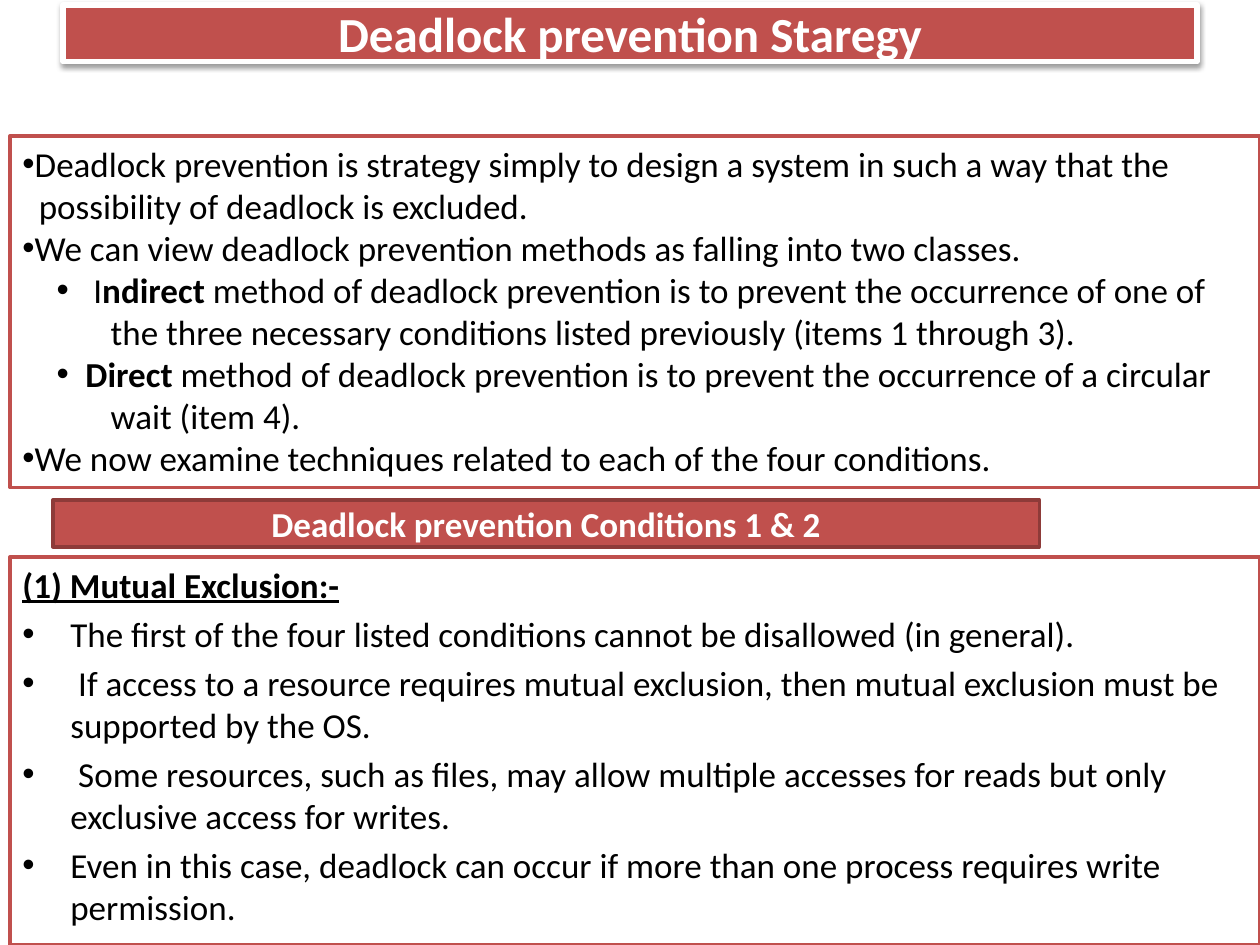
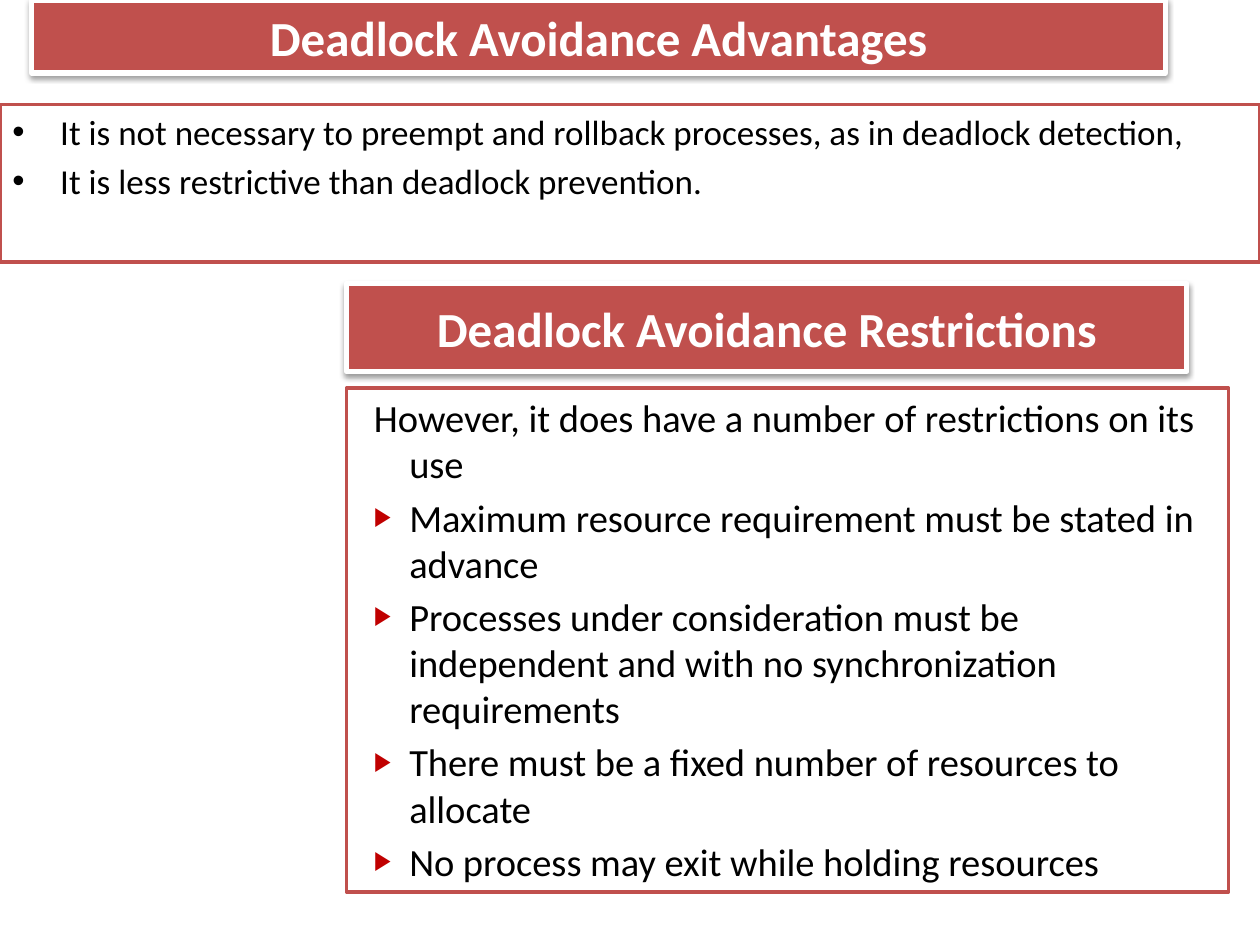
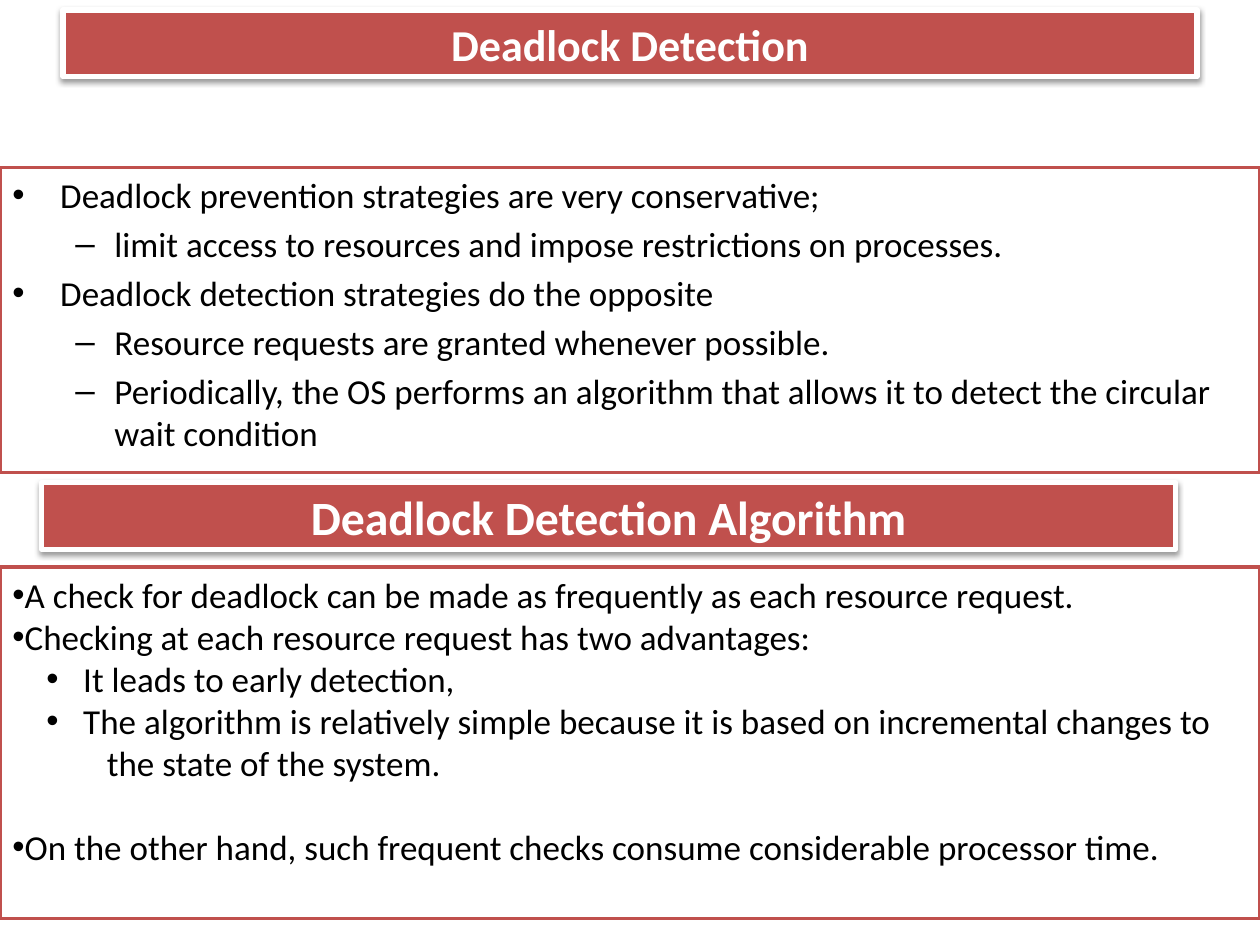
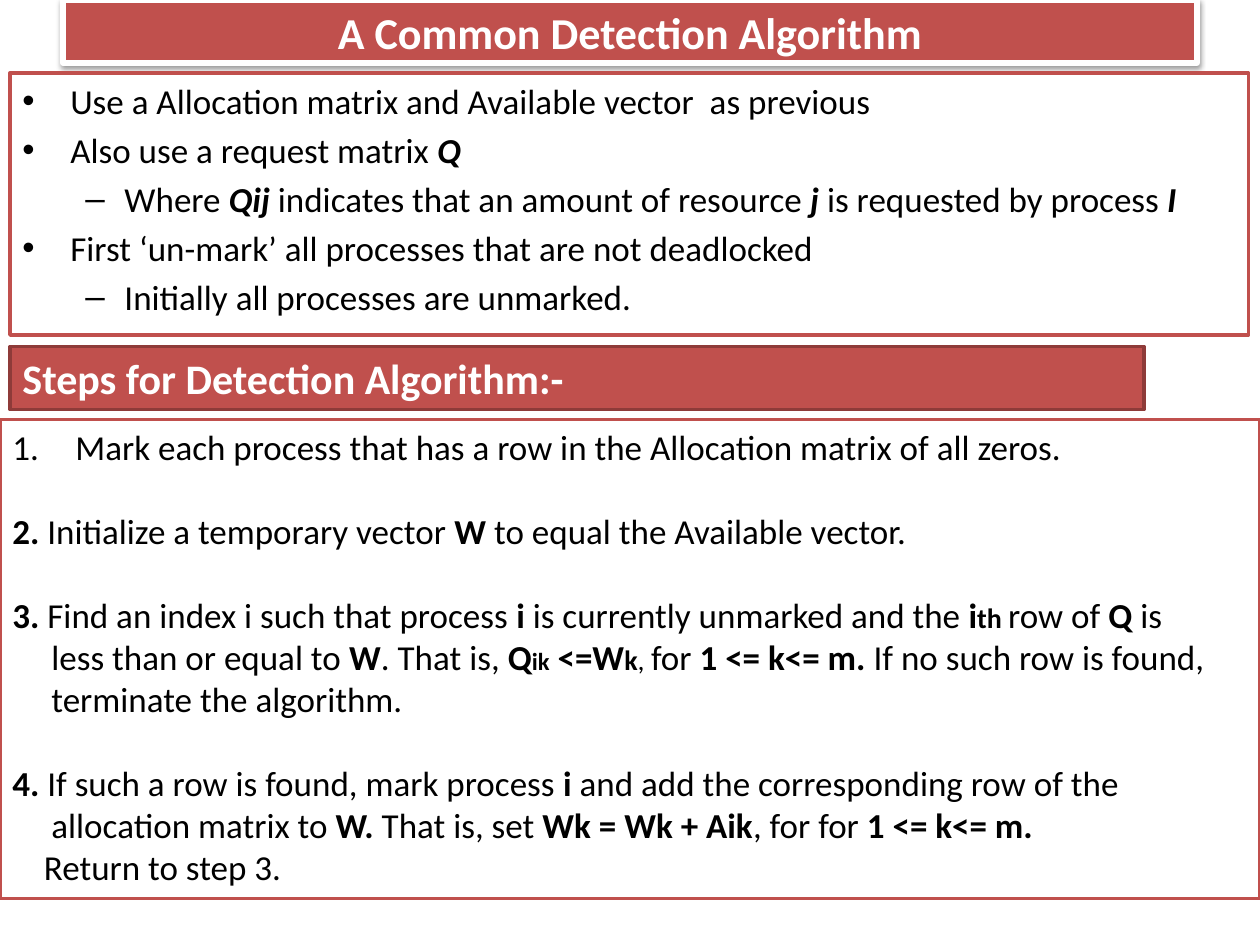
from dataclasses import dataclass, replace

from lxml import etree
from pptx import Presentation
from pptx import util as u
from pptx.dml.color import RGBColor
from pptx.enum import shapes, text
from pptx.oxml.ns import qn

FONT = "Calibri"
RED, DARK_RED, ARROW_RED = "C0504D", "8E3B39", "C00000"
WHITE, BLACK = "FFFFFF", "000000"
BODY_SIZE = 20
LINE_GAP = 24  # points left free by one line of body text


@dataclass(frozen=True)
class Style:
    """Paragraph style: lengths in inches, space before in points."""
    margin: float = 0
    indent: float = 0
    bullet: str = ""
    before: float = 0
    bullet_color: str = ""
    bullet_percent: int = 0


TIGHT = Style(bullet="•")
TIGHT_MORE = Style(margin=0.13)
TIGHT_GAP = replace(TIGHT, before=LINE_GAP)
TIGHT_SUB = Style(0.5, -0.23, "•")
TIGHT_SUB_MORE = Style(margin=0.7)
HEAD = Style(0.38, -0.38, before=4)
POINT = replace(HEAD, bullet="•")
DASH = Style(0.81, -0.31, "–", 4)
INTRO = Style(0.4, -0.28, before=4)
ARROW = replace(INTRO, bullet="▶", bullet_color=ARROW_RED, bullet_percent=68)
NUMBER = Style(0.5, -0.5, "1.")
STEP = Style(before=LINE_GAP)
STEP_MORE = Style(margin=0.31)
STEP_END = Style(margin=0.25)


def color(value):
    return RGBColor.from_string(value)


def paint(shape, fill, line, width):
    shape.fill.solid()
    shape.fill.fore_color.rgb = color(fill)
    shape.line.color.rgb = color(line)
    shape.line.width = u.Pt(width)


def place(shape, box):
    shape.left, shape.top, shape.width, shape.height = map(u.Inches, box)


def add_box(slide, box):
    rectangle = slide.shapes.add_shape(
        shapes.MSO_SHAPE.RECTANGLE, *map(u.Inches, box))
    rectangle.shadow.inherit = False
    return rectangle


def add_soft_shadow(shape):
    shape.shadow.inherit = False
    effects = shape.element.spPr.find(qn("a:effectLst"))
    shadow = etree.SubElement(effects, qn("a:outerShdw"), blurRad="40000",
                              dist="20000", dir="5400000", rotWithShape="0")
    shade = etree.SubElement(shadow, qn("a:srgbClr"), val=BLACK)
    etree.SubElement(shade, qn("a:alpha"), val="38000")


def format_run(run, size, ink, marks=""):
    """Marks are letters: b bold, i italic, u underlined."""
    run.font.name = FONT
    run.font.size = u.Pt(size)
    run.font.color.rgb = color(ink)
    run.font.bold = "b" in marks
    run.font.italic = "i" in marks
    run.font.underline = "u" in marks


def write_heading(shape, words, size, align=text.PP_ALIGN.CENTER):
    frame = shape.text_frame
    frame.text = words
    frame.word_wrap = True
    frame.auto_size = text.MSO_AUTO_SIZE.NONE
    frame.vertical_anchor = text.MSO_ANCHOR.MIDDLE
    frame.paragraphs[0].alignment = align
    format_run(frame.paragraphs[0].runs[0], size, WHITE, "b")


def raised_band(shape, words, size):
    paint(shape, RED, WHITE, 3)
    add_soft_shadow(shape)
    write_heading(shape, words, size)


def title_band(slide, box, words, size=28):
    title = slide.shapes.title
    place(title, box)
    raised_band(title, words, size)


def section_band(slide, box, words, size=28):
    raised_band(add_box(slide, box), words, size)


def flat_band(slide, box, words, size, align=text.PP_ALIGN.CENTER):
    band = add_box(slide, box)
    paint(band, RED, DARK_RED, 2)
    write_heading(band, words, size, align)


def apply_style(paragraph, style):
    props = paragraph._p.get_or_add_pPr()
    props.set("marL", str(u.Inches(style.margin)))
    props.set("indent", str(u.Inches(style.indent)))
    if style.bullet_color:
        tint = etree.SubElement(props, qn("a:buClr"))
        etree.SubElement(tint, qn("a:srgbClr"), val=style.bullet_color)
    if style.bullet_percent:
        etree.SubElement(props, qn("a:buSzPct"),
                         val=str(style.bullet_percent * 1000))
    if style.bullet == "1.":
        etree.SubElement(props, qn("a:buAutoNum"), type="arabicPeriod")
    elif style.bullet:
        etree.SubElement(props, qn("a:buFont"), typeface="Arial")
        etree.SubElement(props, qn("a:buChar"), char=style.bullet)


def text_panel(slide, box, lines, size=BODY_SIZE):
    """Outlined panel; a line is a style and its runs, each plain text or
    a tuple of text, marks and perhaps a size."""
    panel = add_box(slide, box)
    paint(panel, WHITE, RED, 2)
    frame = panel.text_frame
    frame.word_wrap = True
    frame.vertical_anchor = text.MSO_ANCHOR.TOP
    for number, (style, *runs) in enumerate(lines):
        paragraph = frame.add_paragraph() if number else frame.paragraphs[0]
        apply_style(paragraph, style)
        paragraph.alignment = text.PP_ALIGN.LEFT
        if number:
            paragraph.space_before = u.Pt(style.before)
        for part in runs:
            words, marks, run_size = (
                (part, "", size) if isinstance(part, str)
                else (*part, size)[:3])
            run = paragraph.add_run()
            run.text = words
            format_run(run, run_size, BLACK, marks)


def prevention_slide(slide):
    title_band(slide, (0.5, 0.04, 9, 0.45), "Deadlock prevention Staregy")
    text_panel(slide, (0.08, 1.08, 9.92, 2.79), [
        (TIGHT, "Deadlock prevention is strategy simply to design a system "
                "in such a way that the"),
        (TIGHT_MORE, "possibility of deadlock is excluded."),
        (TIGHT, "We can view deadlock prevention methods as falling into "
                "two classes."),
        (TIGHT_SUB, " I", ("ndirect ", "b"),
         "method of deadlock prevention is to prevent the occurrence of "
         "one of"),
        (TIGHT_SUB_MORE, "the three necessary conditions listed previously "
                         "(items 1 through 3)."),
        (TIGHT_SUB, ("Direct ", "b"),
         "method of deadlock prevention is to prevent the occurrence of "
         "a circular"),
        (TIGHT_SUB_MORE, "wait (item 4)."),
        (TIGHT, "We now examine techniques related to each of the four "
                "conditions."),
    ])
    flat_band(slide, (0.42, 3.97, 7.83, 0.37),
              "Deadlock prevention Conditions 1 & 2", 20)
    text_panel(slide, (0.08, 4.42, 9.92, 3.08), [
        (HEAD, ("(1) Mutual Exclusion:-", "bu")),
        (POINT, "The first of the four listed conditions cannot be "
                "disallowed (in general)."),
        (POINT, " If access to a resource requires mutual exclusion, then "
                "mutual exclusion must be supported by the OS."),
        (POINT, " Some resources, such as files, may allow multiple accesses "
                "for reads but only exclusive access for writes."),
        (POINT, "Even in this case, deadlock can occur if more than one "
                "process requires write permission."),
    ])


def avoidance_slide(slide):
    title_band(slide, (0.25, 0, 9, 0.58), "Deadlock Avoidance Advantages")
    text_panel(slide, (0, 0.83, 10, 1.25), [
        (POINT, "It is not necessary to preempt and rollback processes, as "
                "in deadlock detection,"),
        (POINT, "It is less restrictive than deadlock prevention."),
    ])
    section_band(slide, (2.75, 2.25, 6.67, 0.7),
                 "Deadlock Avoidance Restrictions")
    text_panel(slide, (2.75, 3.08, 7, 4), [
        (INTRO, "However, it does have a number of restrictions on its use"),
        (ARROW, "Maximum resource requirement must be stated in advance"),
        (ARROW, "Processes under consideration must be independent and with "
                "no synchronization requirements"),
        (ARROW, "There must be a fixed number of resources to allocate"),
        (ARROW, "No process may exit while holding resources"),
    ], size=22)


def detection_slide(slide):
    title_band(slide, (0.5, 0.08, 9, 0.53), "Deadlock Detection", 25.2)
    text_panel(slide, (0, 1.33, 10, 2.42), [
        (POINT, "Deadlock prevention strategies are very conservative;"),
        (DASH, "limit access to resources and impose restrictions on "
               "processes."),
        (POINT, "Deadlock detection strategies do the opposite"),
        (DASH, "Resource requests are granted whenever possible."),
        (DASH, "Periodically, the OS performs an algorithm that allows it to "
               "detect the circular wait condition"),
    ])
    section_band(slide, (0.33, 3.83, 9, 0.53),
                 "Deadlock Detection Algorithm", 27.3)
    text_panel(slide, (0, 4.5, 10, 2.79), [
        (TIGHT, "A check for deadlock can be made as frequently as each "
                "resource request."),
        (TIGHT, "Checking at each resource request has two advantages:"),
        (TIGHT_SUB, " It leads to early detection,"),
        (TIGHT_SUB, " The algorithm is relatively simple because it is based "
                    "on incremental changes to"),
        (replace(TIGHT_SUB_MORE, margin=0.75), "the state of the system."),
        (TIGHT_GAP, "On the other hand, such frequent checks consume "
                    "considerable processor time."),
    ])


def algorithm_slide(slide):
    title_band(slide, (0.5, 0, 9, 0.5), "A Common Detection Algorithm", 25.2)
    text_panel(slide, (0.08, 0.58, 9.83, 2.08), [
        (POINT, "Use a Allocation matrix and Available vector  as previous"),
        (POINT, "Also use a request matrix ", ("Q", "bi")),
        (DASH, "Where ", ("Qij", "bi"),
         " indicates that an amount of resource ", ("j", "bi"),
         " is requested by process ", ("I", "bi")),
        (POINT, "First ‘un-mark’ all processes that are not deadlocked"),
        (DASH, "Initially all processes are unmarked."),
    ])
    flat_band(slide, (0.08, 2.75, 9, 0.5), "Steps for Detection Algorithm:-",
              24, text.PP_ALIGN.LEFT)
    text_panel(slide, (0, 3.33, 10, 3.8), [
        (NUMBER, "Mark each process that has a row in the Allocation matrix "
                 "of all zeros."),
        (STEP, ("2. ", "b"), "Initialize a temporary vector ", ("W ", "b"),
         "to equal the Available vector."),
        (STEP, ("3. ", "b"), "Find an index i such that process ",
         ("i", "b"), " is currently unmarked and the ", ("i", "b"),
         ("th ", "b", 16), "row of ", ("Q ", "b"), "is"),
        (STEP_MORE, "less than or equal to ", ("W", "b"), ". That is, ",
         ("Q", "b"), ("ik", "b", 14), (" <=W", "b"), ("k", "b", 16),
         (", ", "", 16), "for ", ("1 <= k<= m.", "b"),
         " If no such row is found,"),
        (STEP_MORE, "terminate the algorithm."),
        (STEP, ("4.", "b"), " If such a row is found, mark process ",
         ("i ", "b"), "and add the corresponding row of the"),
        (STEP_MORE, "allocation matrix to ", ("W.", "b"), " That is, set ",
         ("Wk = Wk + Aik", "b"), ", for for ", ("1 <= k<= m.", "b")),
        (STEP_END, "Return to step 3."),
    ])


def main():
    deck = Presentation()
    deck.slide_width, deck.slide_height = u.Inches(10), u.Inches(7.5)
    title_only = deck.slide_layouts[5]
    for build in (prevention_slide, avoidance_slide, detection_slide,
                  algorithm_slide):
        build(deck.slides.add_slide(title_only))
    deck.save("out.pptx")


if __name__ == "__main__":
    main()
